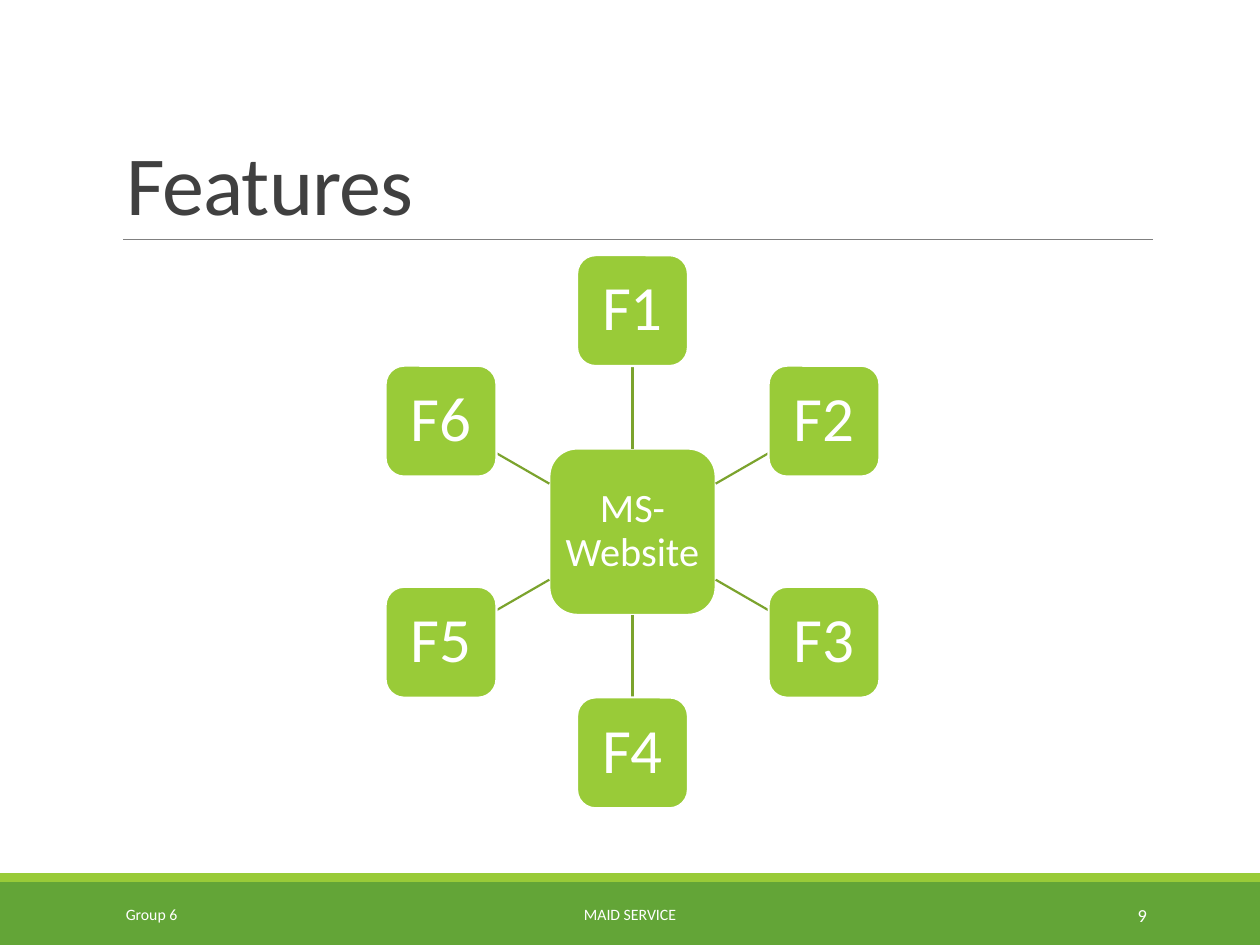
import math
from lxml import etree
from pptx import Presentation
from pptx.dml.color import RGBColor
from pptx.enum import shapes, text
from pptx.oxml.ns import qn
from pptx.util import Inches, Pt

WHITE = RGBColor(0xFF, 0xFF, 0xFF)
LIME = RGBColor(0x99, 0xCB, 0x38)
GREEN = RGBColor(0x63, 0xA5, 0x37)
OLIVE = RGBColor(0x7B, 0xA3, 0x2D)
GREY = RGBColor(0x80, 0x80, 0x80)
DARK = RGBColor(0x40, 0x40, 0x40)
FONT = "Calibri"
LEFT, MID, RIGHT = text.PP_ALIGN.LEFT, text.PP_ALIGN.CENTER, text.PP_ALIGN.RIGHT

TITLE = "Features"
HUB = "MS-Website"
NODES = ["F1", "F2", "F3", "F4", "F5", "F6"]
BARS = [(7, 0.5, GREEN), (6.93, 0.07, LIME)]
FOOTER = [
    ("Group 6", 0.9, 2.03, LEFT, 9),
    ("MAID SERVICE", 3.02, 3.96, MID, 9),
    ("9", 8.12, 1.08, RIGHT, 10.5),
]
CX, CY, RADIUS = 5.02, 4.22, 1.755
HUB_SIZE, NODE_SIZE = 1.32, 0.88


def put_text(shape, words, size, align, color=WHITE, anchor=text.MSO_ANCHOR.MIDDLE):
    """Write one paragraph into a shape and return it."""
    frame = shape.text_frame
    frame.word_wrap = True
    frame.vertical_anchor = anchor
    para = frame.paragraphs[0]
    para.text = words
    para.alignment = align
    para.font.name, para.font.size = FONT, Pt(size)
    para.font.color.rgb = color
    return para


def add_box(kind, left, top, width, height, fill):
    """Add a filled shape without outline or shadow."""
    box = slide.shapes.add_shape(
        kind, Inches(left), Inches(top), Inches(width), Inches(height))
    box.shadow.inherit = False
    box.fill.solid()
    box.fill.fore_color.rgb = fill
    box.line.fill.background()
    return box


def add_line(start, end, color, width):
    """Add a straight line between two points."""
    line = slide.shapes.add_connector(
        shapes.MSO_CONNECTOR.STRAIGHT, *map(Inches, (*start, *end)))
    line.line.color.rgb = color
    line.line.width = Pt(width)
    etree.SubElement(line._element.spPr, qn("a:effectLst"))


def add_node(words, x, y, side, size, inset):
    """Add a rounded square centred on a point."""
    node = add_box(shapes.MSO_SHAPE.ROUNDED_RECTANGLE,
                   x - side / 2, y - side / 2, side, side, LIME)
    node.line.color.rgb = WHITE
    node.line.width = Pt(1.25)
    frame = node.text_frame
    frame.margin_left = frame.margin_right = Inches(inset)
    frame.margin_top = frame.margin_bottom = Inches(inset)
    put_text(node, words, size, MID).line_spacing = 0.9


def add_spoke(dx, dy):
    """Join the hub's edge to the edge of the node in direction dx, dy."""
    reach = max(abs(dx), abs(dy))
    near = HUB_SIZE / 2 / reach
    far = RADIUS - NODE_SIZE / 2 / reach
    add_line((CX + near * dx, CY + near * dy),
             (CX + far * dx, CY + far * dy), OLIVE, 1.25)


prs = Presentation()
prs.slide_width, prs.slide_height = Inches(10), Inches(7.5)
slide = prs.slides.add_slide(prs.slide_layouts[5])

for top, height, fill in BARS:
    add_box(shapes.MSO_SHAPE.RECTANGLE, 0, top, 10, height, fill)
add_line((0.98, 1.9), (9.15, 1.9), GREY, 0.5)

title = slide.shapes.title
title.left, title.top = Inches(0.9), Inches(0.31)
title.width, title.height = Inches(8.25), Inches(1.59)
head = put_text(title, TITLE, 48, LEFT, DARK, text.MSO_ANCHOR.BOTTOM)
head.line_spacing = 0.85
head.runs[0]._r.get_or_add_rPr().set("spc", "-50")

add_node(HUB, CX, CY, HUB_SIZE, 23, 0.06)
for i, name in enumerate(NODES):
    angle = math.tau * i / len(NODES)
    dx, dy = math.sin(angle), -math.cos(angle)
    add_spoke(dx, dy)
    add_node(name, CX + RADIUS * dx, CY + RADIUS * dy, NODE_SIZE, 36, 0.1)

for words, left, width, align, size in FOOTER:
    label = slide.shapes.add_textbox(
        Inches(left), Inches(7.06), Inches(width), Inches(0.4))
    put_text(label, words, size, align)

prs.save("out.pptx")
